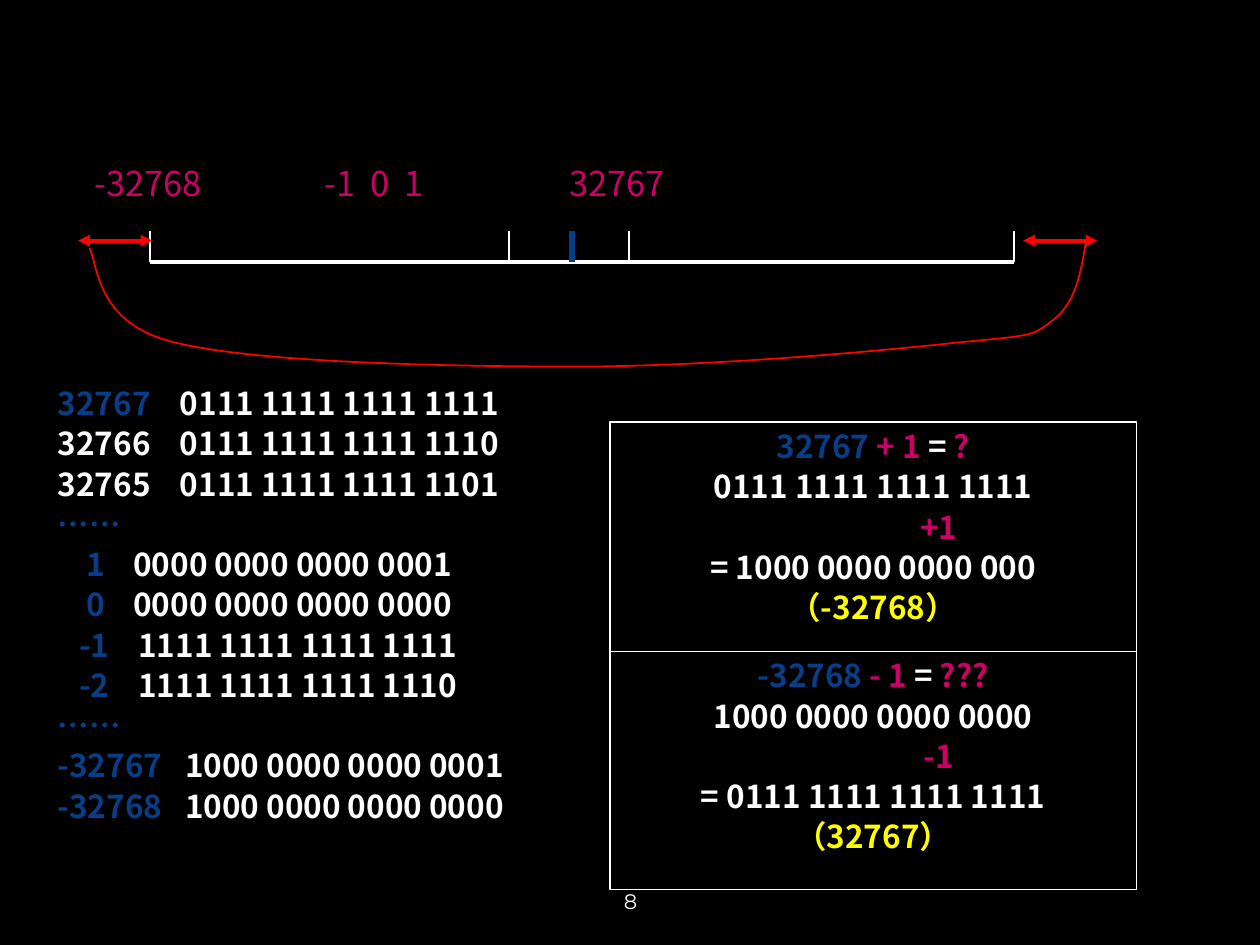
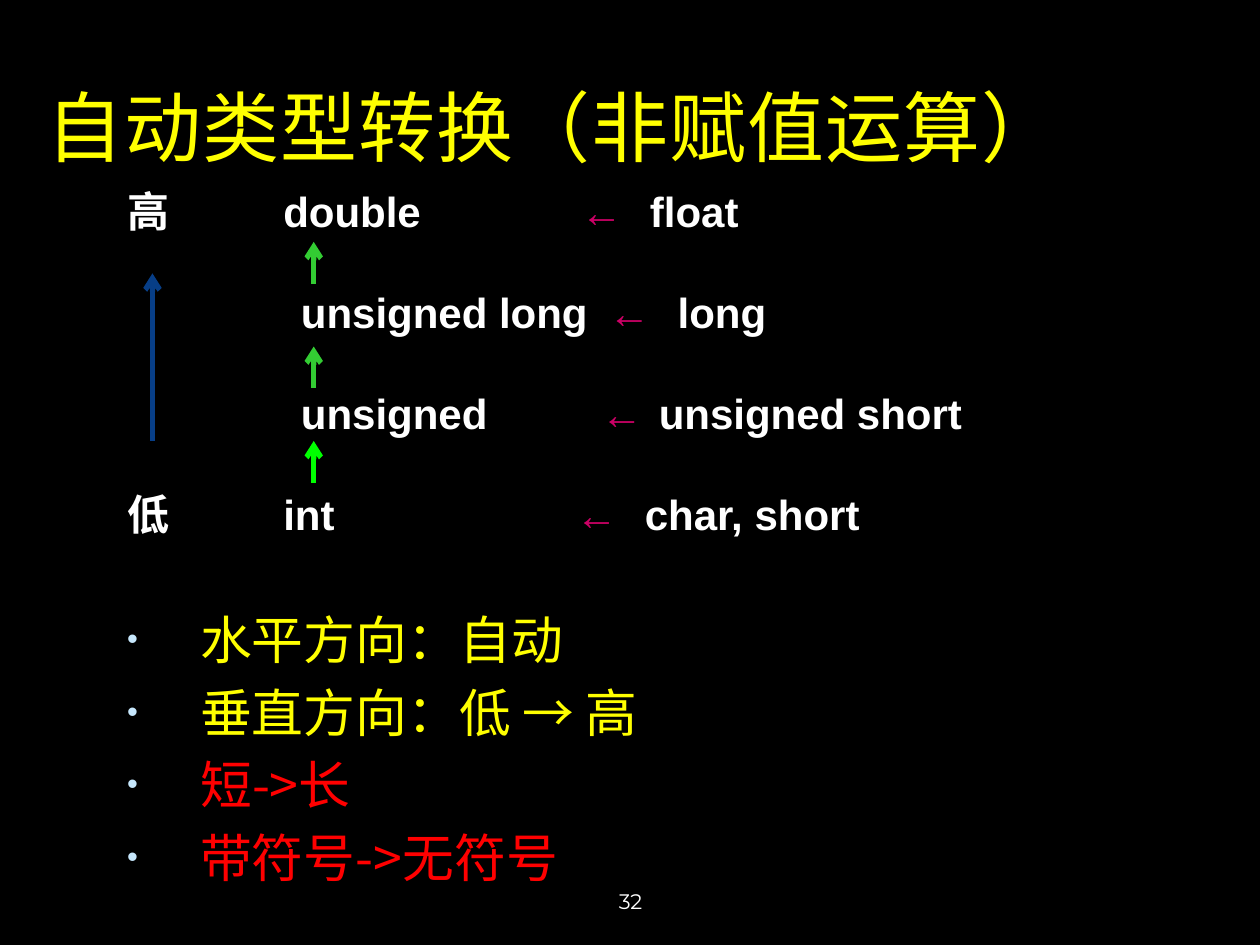
from dataclasses import dataclass
from lxml import etree
from pptx import Presentation
from pptx.dml.color import RGBColor
from pptx.enum.shapes import MSO_CONNECTOR, MSO_SHAPE
from pptx.enum.text import MSO_ANCHOR, PP_ALIGN
from pptx.oxml.ns import qn
from pptx.util import Inches, Pt

LINE, RECT = MSO_CONNECTOR.STRAIGHT, MSO_SHAPE.RECTANGLE
TOP, MID = MSO_ANCHOR.TOP, MSO_ANCHOR.MIDDLE
LEFT, CENTER = PP_ALIGN.LEFT, PP_ALIGN.CENTER


@dataclass(frozen=True)
class Theme:
    black: str = "000000"
    white: str = "FFFFFF"
    blue: str = "073E87"
    pink: str = "CC0066"
    red: str = "FF0000"
    yellow: str = "FFFF00"
    green: str = "33CC33"
    lime: str = "00FF00"
    dot: str = "C6E7FC"
    cjk: str = "Noto Sans CJK SC"
    head: str = "Roboto"
    code: str = "Arial"
    foot: str = "Montserrat"
    title: float = 44
    item: float = 29.6
    type: float = 24
    scale: float = 19.6
    bits: float = 18
    page: float = 12


T = Theme()


# Shared helpers
def rgb(color):
    return RGBColor.from_string(color)


def sub(parent, tag, **attrs):
    return etree.SubElement(parent, qn(tag), {k: str(v) for k, v in attrs.items()})


def put(target, **form):
    for name, value in form.items():
        setattr(target, name, value)


def frame(shape, anchor=TOP, top=0.05):
    text = shape.text_frame
    put(text, word_wrap=True, vertical_anchor=anchor,
        margin_left=Inches(0.1), margin_right=Inches(0.1),
        margin_top=Inches(top), margin_bottom=Inches(0.05))
    return text


def box(slide, x, y, w, h, **opts):
    area = [Inches(v) for v in (x, y, w, h)]
    return frame(slide.shapes.add_textbox(*area), **opts)


def write(text, rows, size, font=T.cjk, bold=False, tabs=(), **form):
    """Fill a frame; each row is a list of (words, colour)."""
    paras = []
    for i, row in enumerate(rows):
        para = text.add_paragraph() if i else text.paragraphs[0]
        put(para, **form)
        for words, color in row:
            run = para.add_run()
            run.text = words
            put(run.font, size=Pt(size), name=font, bold=bold)
            run.font.color.rgb = rgb(color)
            sub(run.font._element, "a:ea", typeface=T.cjk)
        if tabs:
            stops = sub(para._p.get_or_add_pPr(), "a:tabLst")
            for pos in tabs[i]:
                sub(stops, "a:tab", pos=Inches(pos), algn="l")
        paras.append(para)
    return paras


def line(slide, start, end, color, width, head=None, tail=None):
    ends = [Inches(v) for v in (*start, *end)]
    item = slide.shapes.add_connector(LINE, *ends)
    item.line.color.rgb = rgb(color)
    item.line.width = Pt(width)
    stroke = item.line._get_or_add_ln()
    for tag, kind in (("a:headEnd", head), ("a:tailEnd", tail)):
        if kind:
            sub(stroke, tag, type=kind)
    sub(item._element.spPr, "a:effectLst")


def footer(slide, number):
    text = box(slide, 3.42, 6.95, 3.17, 0.4, anchor=MID)
    write(text, [[(number, T.white)]], T.page, T.foot, alignment=CENTER)


# Number line with its wrap-around loop
def curve(points, steps=16):
    """Points along a chain of cubic Bezier pieces."""
    for i in range(0, len(points) - 1, 3):
        a, b, c, d = points[i:i + 4]
        for n in range(1, steps + 1):
            t = n / steps
            u = 1 - t
            yield tuple(Inches(u**3 * p + 3 * u * u * t * q + 3 * u * t * t * r + t**3 * s)
                        for p, q, r, s in zip(a, b, c, d))


def axis(slide, x, y):
    text = box(slide, x - 0.58, y - 0.67, 8.5, 0.58)
    words = "\t-32768\t-1\t0\t1\t32767"
    write(text, [[(words, T.pink)]], T.scale, tabs=[(0.61, 2.44, 2.8, 3.07, 4.38)])

    low, ends = y + 0.17, (x + 0.57, x + 7.43)
    line(slide, (ends[0], low), (ends[1], low), T.white, 2.25)
    for tick in (ends[0], x + 3.42, x + 4.37, ends[1]):
        line(slide, (tick, low - 0.25), (tick, low), T.white, 1)
    line(slide, (x + 3.92, low - 0.25), (x + 3.92, low), T.blue, 3)
    for left in (x, x + 7.5):
        line(slide, (left, y), (left + 0.59, y), T.red, 2.25, "triangle", "triangle")

    knots = [(8, 0), (7.96, 0.25), (7.92, 0.49), (7.74, 0.63), (7.57, 0.76),
             (7.6, 0.75), (6.97, 0.81), (6.34, 0.88), (4.99, 1), (3.96, 1),
             (2.93, 1), (1.42, 0.97), (0.77, 0.81), (0.13, 0.66), (0.16, 0.18), (0.09, 0.06)]
    knots = [(x + dx, y + dy) for dx, dy in knots]
    path = slide.shapes.build_freeform(*[Inches(v) for v in knots[0]])
    path.add_line_segments(list(curve(knots)), close=False)
    loop = path.convert_to_shape()
    loop.shadow.inherit = False
    loop.fill.background()
    loop.line.color.rgb = rgb(T.red)
    loop.line.width = Pt(1)


# List of values and their bits
def values(slide, x, y, w, h):
    wide, mid, neg, low = (0.11, 1.08), (0.34, 0.71), (0.28, 0.75), (0.11, 1.12)
    data = [("32767", "0111 1111 1111 1111", wide),
            ("32766", "0111 1111 1111 1110", wide),
            ("32765", "0111 1111 1111 1101", wide),
            ("……", "", wide),
            ("1", "0000 0000 0000 0001", mid),
            ("0", "0000 0000 0000 0000", mid),
            ("-1", "1111 1111 1111 1111", neg),
            ("-2", "1111 1111 1111 1110", neg),
            ("……", "", wide),
            ("-32767", "1000 0000 0000 0001", low),
            ("-32768", "1000 0000 0000 0000", low)]
    rows = []
    for name, bits, _ in data:
        color = T.white if name in ("32766", "32765") else T.blue
        row = [("\t" + name, color)]
        if bits:
            row.append(("\t" + bits, T.white))
        rows.append(row)
    write(box(slide, x, y, w, h, top=0.02), rows, T.bits, bold=True,
          tabs=[stops for *_, stops in data], line_spacing=Pt(23))


# Boxed sum: question, operand, step, result, value
def sum_box(slide, x, y, w, h, start, step, mark, bits, change, result, value):
    shape = slide.shapes.add_shape(RECT, *[Inches(v) for v in (x, y, w, h)])
    shape.shadow.inherit = False
    shape.fill.background()
    shape.line.color.rgb = rgb(T.white)
    shape.line.width = Pt(0.75)
    rows = [[(start + " ", T.blue), (step + " ", T.pink), ("= ", T.white), (mark, T.pink)],
            [(bits, T.white)],
            [(change, T.pink)],
            [("= " + result, T.white)],
            [(f"（{value}）", T.yellow)]]
    paras = write(frame(shape, top=0.02), rows, T.bits, bold=True,
                  alignment=CENTER, line_spacing=Pt(23))
    paras[2]._p.get_or_add_pPr().set("marL", str(Inches(1.04)))


# Type ladder with arrows
def ladder(slide, x, y, w, h):
    data = [("高", "double", "float", (1.24, 3.6, 4.15)),
            ("", "unsigned long", "long", (1.38, 3.82, 4.37)),
            ("", "unsigned", "unsigned short", (1.38, 3.76, 4.22)),
            ("低", "int", "char, short", (1.24, 3.56, 4.11))]
    rows = [[(f"{rank}\t{big}", T.white), ("\t←", T.pink), ("\t" + small, T.white)]
            for rank, big, small, _ in data]
    write(box(slide, x, y, w, h), rows, T.type, T.code, True,
          [stops for *_, stops in data], line_spacing=Pt(29), space_after=Pt(28.7))

    line(slide, (x + 0.3, y + 2.08), (x + 0.3, y + 0.75), T.blue, 3, tail="arrow")
    for top, color in ((0.5, T.green), (1.33, T.green), (2.08, T.lime)):
        line(slide, (x + 1.58, y + top + 0.33), (x + 1.58, y + top), color, 3, tail="arrow")


# Bulleted rules
def rules(slide, x, y, w, h):
    data = [("水平方向：自动", T.yellow), ("垂直方向：低 → 高", T.yellow),
            ("短->长", T.red), ("带符号->无符号", T.red)]
    paras = write(box(slide, x, y, w, h), [[item] for item in data], T.item,
                  line_spacing=Pt(41.5))
    for para in paras:
        props = para._p.get_or_add_pPr()
        props.set("marL", str(Inches(0.58)))
        props.set("indent", str(-Inches(0.58)))
        sub(sub(props, "a:buClr"), "a:srgbClr", val=T.dot)
        sub(props, "a:buSzPct", val=60000)
        sub(props, "a:buFont", typeface=T.code)
        sub(props, "a:buChar", char="•")


def heading(slide, words):
    title = slide.shapes.title
    put(title, left=Inches(0.27), top=Inches(0.52), width=Inches(9.73), height=Inches(0.95))
    para, = write(frame(title, MID), [[(words, T.yellow)]], T.title, T.head, alignment=LEFT)
    para.runs[0].font._element.set("spc", "50")


# Slides
def overflow(deck):
    slide = deck.slides.add_slide(deck.slide_layouts[6])
    axis(slide, 0.62, 1.91)
    values(slide, 0.25, 3.01, 4.75, 3.89)
    sum_box(slide, 4.84, 3.35, 4.18, 1.82, "32767", "+ 1", "?", "0111 1111 1111 1111",
            "+1", "1000 0000 0000 000", "-32768")
    sum_box(slide, 4.84, 5.17, 4.18, 1.89, "-32768", "- 1", "???", "1000 0000 0000 0000",
            "-1", "0111 1111 1111 1111", "32767")
    footer(slide, "8")


def convert(deck):
    slide = deck.slides.add_slide(deck.slide_layouts[5])
    heading(slide, "自动类型转换（非赋值运算）")
    ladder(slide, 0.91, 1.42, 7.42, 3.17)
    rules(slide, 0.91, 4.69, 7.42, 2.28)
    footer(slide, "32")


deck = Presentation()
put(deck, slide_width=Inches(10), slide_height=Inches(7.5))
back = deck.slide_master.background.fill
back.solid()
back.fore_color.rgb = rgb(T.black)
overflow(deck)
convert(deck)
deck.save("out.pptx")
